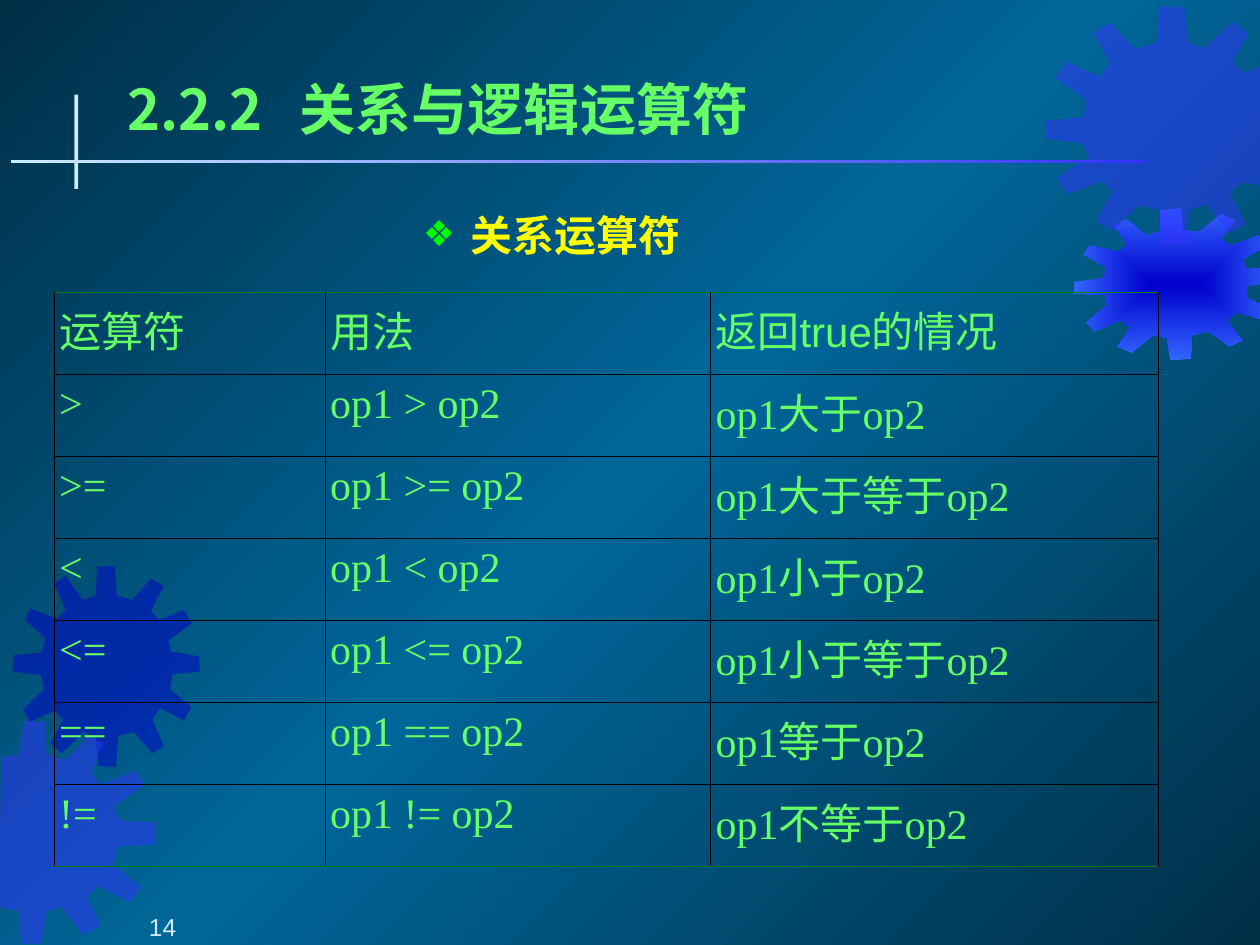
from typing import NamedTuple

import pptx
import pptx.dml.color
import pptx.enum.shapes
import pptx.enum.text
import pptx.oxml
import pptx.oxml.ns
import pptx.util
from pptx.util import Inches

COLORS = {
    "edge": "002F46", "middle": "006699", "navy": "0000CC", "violet": "3333FF",
    "azure": "3366FF", "pale": "CCECFF", "text": "66FF66", "subtitle": "FFFF00",
    "bullet": "00FF00", "grid": "000000", "rule": "008000",
}
ALIGN = pptx.enum.text.PP_ALIGN
ANCHOR = pptx.enum.text.MSO_ANCHOR
CJK, SANS, SERIF = "Noto Sans CJK SC", "Arial", "Times New Roman"


class Gear(NamedTuple):
    color: str
    outline: list[tuple[int, int]]  # hundredths of an inch


class Border(NamedTuple):
    color: str
    points: float


LEFT_GEAR = Gear("navy", [
    (105, 476), (93, 473), (91, 449), (77, 450), (76, 473), (66, 476), (52, 457), (43, 463),
    (52, 484), (45, 491), (24, 483), (20, 492), (36, 507), (33, 518), (11, 520), (10, 533),
    (33, 536), (35, 547), (18, 563), (24, 573), (43, 564), (50, 571), (40, 590), (49, 598),
    (66, 581), (76, 585), (78, 608), (92, 609), (94, 584), (106, 581), (121, 598), (130, 592),
    (121, 571), (127, 562), (146, 572), (152, 561), (135, 547), (137, 535), (159, 533),
    (158, 521), (136, 517), (134, 508), (152, 495), (146, 484), (126, 492), (120, 485),
    (130, 465), (120, 459)])
CORNER_GEAR = Gear("violet", [
    (90, 686), (94, 672), (124, 670), (123, 653), (95, 651), (90, 640), (115, 623), (108, 612),
    (80, 622), (72, 614), (82, 590), (71, 584), (52, 603), (37, 599), (36, 573), (19, 572),
    (15, 599), (1, 601), (-1, 720), (15, 723), (17, 749), (33, 749), (37, 723), (49, 720),
    (66, 742), (80, 735), (69, 711), (78, 703), (103, 716), (112, 704)])
BRIGHT_GEAR = Gear("azure", [
    (952, 184), (939, 183), (937, 165), (921, 167), (921, 184), (910, 187), (894, 174),
    (884, 179), (895, 194), (888, 200), (865, 195), (860, 202), (878, 212), (876, 221),
    (852, 224), (852, 233), (877, 234), (879, 242), (862, 256), (869, 263), (889, 254),
    (897, 260), (887, 275), (898, 280), (915, 266), (926, 268), (929, 286), (945, 285),
    (946, 266), (959, 263), (976, 275), (986, 270), (974, 255), (981, 248), (1003, 254),
    (1008, 245), (989, 236), (990, 227), (1014, 223), (1013, 214), (989, 213), (986, 206),
    (1005, 195), (998, 187), (977, 195), (969, 190), (980, 175), (969, 170)])
TOP_GEAR = Gear("violet", [
    (904, 163), (920, 167), (922, 195), (942, 193), (944, 167), (957, 162), (976, 185),
    (989, 178), (976, 153), (985, 145), (1000, 147), (1000, 53), (988, 58), (978, 49),
    (991, 27), (979, 17), (956, 38), (943, 34), (940, 6), (920, 5), (918, 34), (901, 39),
    (881, 18), (868, 26), (881, 50), (873, 61), (846, 49), (838, 62), (862, 79), (860, 93),
    (830, 96), (830, 110), (860, 114), (864, 125), (839, 141), (847, 154), (875, 144),
    (883, 152), (870, 176), (883, 183)])

HEADER = ("运算符", "用法", "返回true的情况")
OPERATORS = [(">", "大于"), (">=", "大于等于"), ("<", "小于"),
             ("<=", "小于等于"), ("==", "等于"), ("!=", "不等于")]
COLUMN_WIDTHS = (2.15, 3.06, 3.55)
TABLE_HEIGHT = 4.56


def rgb(color: str) -> pptx.dml.color.RGBColor:
    return pptx.dml.color.RGBColor.from_string(COLORS[color])


def drawing(tag: str, attributes: str = "", content: str = ""):
    return pptx.oxml.parse_xml(
        f'<a:{tag} {pptx.oxml.ns.nsdecls("a")} {attributes}>{content}</a:{tag}>')


def color_xml(color: str) -> str:
    return f'<a:srgbClr val="{COLORS[color]}"/>'


def set_gradient(owner, fill, colors: list[str], direction: str) -> None:
    """Fill owner with evenly spaced colours; direction is a:lin or a:path XML."""
    fill.gradient()
    old = next(owner.element.iter(pptx.oxml.ns.qn("a:gradFill")))
    stops = "".join(f'<a:gs pos="{100000 * i // (len(colors) - 1)}">{color_xml(c)}</a:gs>'
                    for i, c in enumerate(colors))
    new = drawing("gradFill", 'rotWithShape="1"', f"<a:gsLst>{stops}</a:gsLst>{direction}")
    old.getparent().replace(old, new)


def linear(degrees: int) -> str:
    return f'<a:lin ang="{degrees * 60000}" scaled="0"/>'


def draw_gear(slide, gear: Gear):
    start, *rest = gear.outline
    builder = slide.shapes.build_freeform(*start, scale=Inches(0.01))
    builder.add_line_segments(rest, close=True)
    shape = builder.convert_to_shape()
    shape.shadow.inherit = False
    shape.line.fill.background()
    shape.fill.solid()
    shape.fill.fore_color.rgb = rgb(gear.color)
    return shape


def draw_translucent_gear(slide, gear: Gear) -> None:
    shape = draw_gear(slide, gear)
    fill_color = next(shape.element.iter(pptx.oxml.ns.qn("a:srgbClr")))
    fill_color.append(drawing("alpha", 'val="50000"'))


def draw_bar(slide, left: float, top: float, width: float, height: float):
    bar = slide.shapes.add_shape(pptx.enum.shapes.MSO_SHAPE.RECTANGLE, Inches(left),
                                 Inches(top), Inches(width), Inches(height))
    bar.shadow.inherit = False
    bar.line.fill.background()
    bar.fill.solid()
    bar.fill.fore_color.rgb = rgb("pale")
    return bar


def place(shape, left: float, top: float, width: float, height: float) -> None:
    shape.left, shape.top = Inches(left), Inches(top)
    shape.width, shape.height = Inches(width), Inches(height)


def set_margins(frame, left: float, top: float, right: float, bottom: float) -> None:
    frame.margin_left, frame.margin_top = Inches(left), Inches(top)
    frame.margin_right, frame.margin_bottom = Inches(right), Inches(bottom)


def write(frame, text: str, size: int, font: str, color: str,
          bold: bool = False, align=ALIGN.LEFT):
    frame.text = text
    paragraph = frame.paragraphs[0]
    paragraph.alignment = align
    for run in paragraph.runs:
        run.font.size, run.font.name, run.font.bold = pptx.util.Pt(size), font, bold
        run.font.color.rgb = rgb(color)
    return paragraph


def set_borders(cell, top: Border, bottom: Border, side: Border) -> None:
    properties = cell._tc.get_or_add_tcPr()
    for tag, border in (("lnL", side), ("lnR", side), ("lnT", top), ("lnB", bottom)):
        properties.append(drawing(tag, f'w="{pptx.util.Pt(border.points)}"',
                                  f"<a:solidFill>{color_xml(border.color)}</a:solidFill>"))


def draw_operator_table(slide) -> None:
    rows = [HEADER] + [(op, f"op1 {op} op2", f"op1{meaning}op2") for op, meaning in OPERATORS]
    table = slide.shapes.add_table(len(rows), len(HEADER), Inches(0.43), Inches(2.32),
                                   Inches(sum(COLUMN_WIDTHS)), Inches(TABLE_HEIGHT)).table
    table.first_row = table.horz_banding = False
    for column, width in zip(table.columns, COLUMN_WIDTHS):
        column.width = Inches(width)
    grid, rule = Border("grid", 0.45), Border("rule", 0.96)
    for r, texts in enumerate(rows):
        table.rows[r].height = Inches(TABLE_HEIGHT / len(rows))
        for c, text in enumerate(texts):
            cell = table.cell(r, c)
            set_margins(cell, 0.04, 0.05, 0.04, 0.05)
            set_borders(cell, rule if r == 0 else grid,
                        rule if r == len(rows) - 1 else grid, grid)
            cell.fill.background()
            write(cell.text_frame, text, 24, SANS if r == 0 else SERIF, "text")


def main() -> None:
    presentation = pptx.Presentation()
    presentation.slide_width, presentation.slide_height = Inches(10), Inches(7.5)
    slide = presentation.slides.add_slide(presentation.slide_layouts[1])

    # Background, gears and title cross
    set_gradient(slide, slide.background.fill, ["edge", "middle", "edge"], linear(225))
    draw_translucent_gear(slide, LEFT_GEAR)
    draw_translucent_gear(slide, CORNER_GEAR)
    bright = draw_gear(slide, BRIGHT_GEAR)
    set_gradient(bright, bright.fill, ["navy", "azure"],
                 '<a:path path="rect"><a:fillToRect l="50000" t="50000" r="50000" b="50000"/>'
                 '</a:path>')
    draw_translucent_gear(slide, TOP_GEAR)
    draw_bar(slide, 0.59, 0.75, 0.03, 0.75)
    underline = draw_bar(slide, 0.09, 1.27, 9, 0.02)
    set_gradient(underline, underline.fill, ["violet", "pale"], linear(180))

    # Title, with a tab between number and name
    title = slide.shapes.title
    place(title, 0.87, 0.54, 8.84, 0.63)
    frame = title.text_frame
    frame.auto_size = pptx.enum.text.MSO_AUTO_SIZE.NONE
    frame.vertical_anchor = ANCHOR.MIDDLE
    set_margins(frame, 0.14, 0.05, 0.04, 0.05)
    heading = write(frame, "2.2.2\t关系与逻辑运算符", 32, CJK, "text", bold=True)
    heading._p.get_or_add_pPr().append(
        drawing("tabLst", "", f'<a:tab pos="{Inches(1.37)}" algn="l"/>'))

    draw_operator_table(slide)

    # Bulleted subtitle
    body = slide.placeholders[1]
    place(body, 2.05, 1.62, 4.66, 0.48)
    frame = body.text_frame
    frame.auto_size = pptx.enum.text.MSO_AUTO_SIZE.NONE
    set_margins(frame, 0.04, 0.04, 0.04, 0.04)
    subtitle = write(frame, "关系运算符", 24, SERIF, "subtitle", bold=True, align=ALIGN.CENTER)
    subtitle.space_before = pptx.util.Pt(0)
    properties = subtitle._p.get_or_add_pPr()
    properties.set("marL", str(Inches(0.375)))
    properties.set("indent", str(Inches(-0.375)))
    properties.append(drawing("buClr", "", color_xml("bullet")))
    properties.append(drawing("buSzPct", 'val="85000"'))
    properties.append(drawing("buChar", 'char="❖"'))

    # Page number
    page_number = slide.shapes.add_textbox(0, Inches(7.05), Inches(2.08), Inches(0.42))
    frame = page_number.text_frame
    frame.word_wrap = True
    frame.vertical_anchor = ANCHOR.BOTTOM
    set_margins(frame, 0.6, 0, 0.1, 0)
    write(frame, "14", 14, SANS, "pale", align=ALIGN.CENTER)

    presentation.save("out.pptx")


if __name__ == "__main__":
    main()
